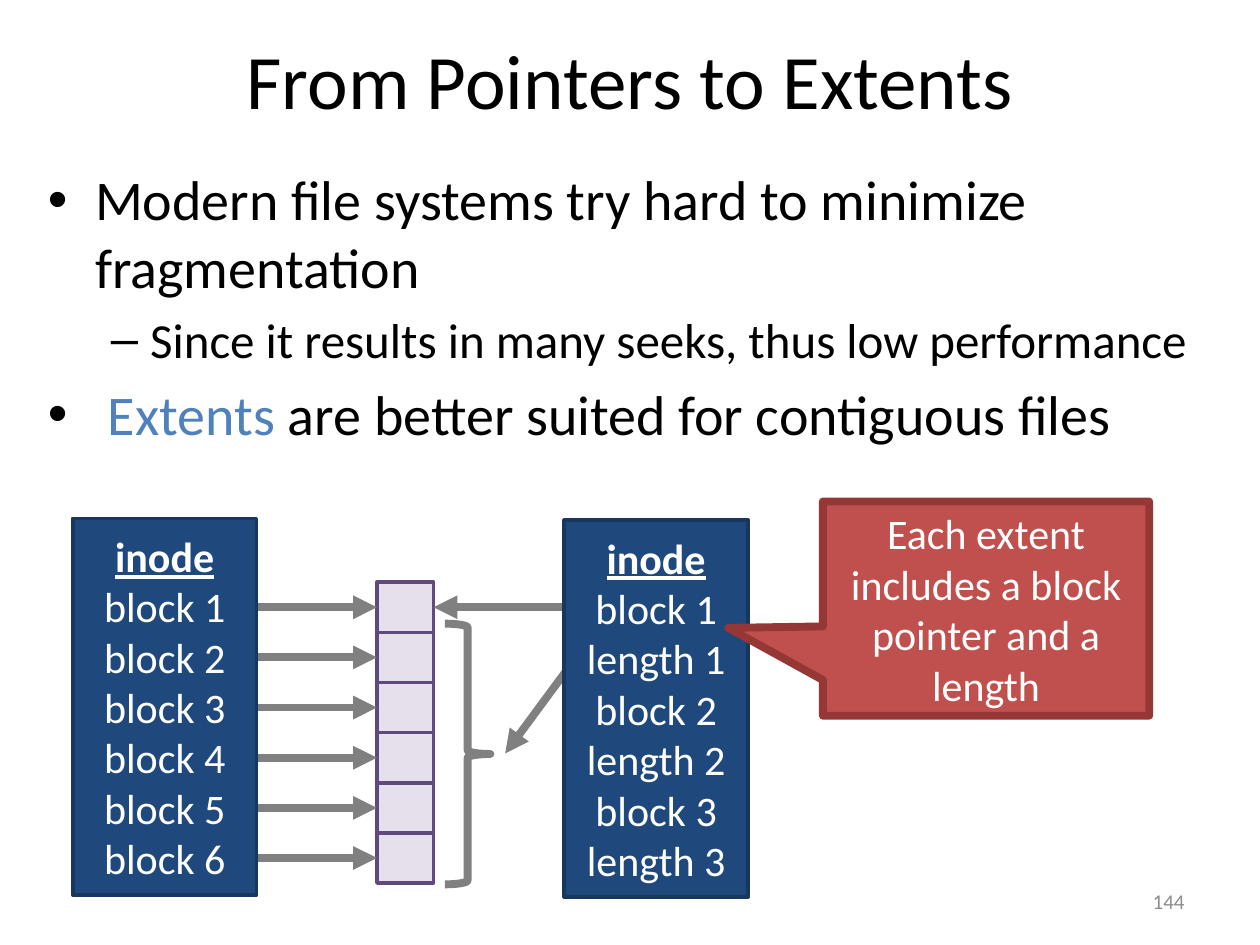
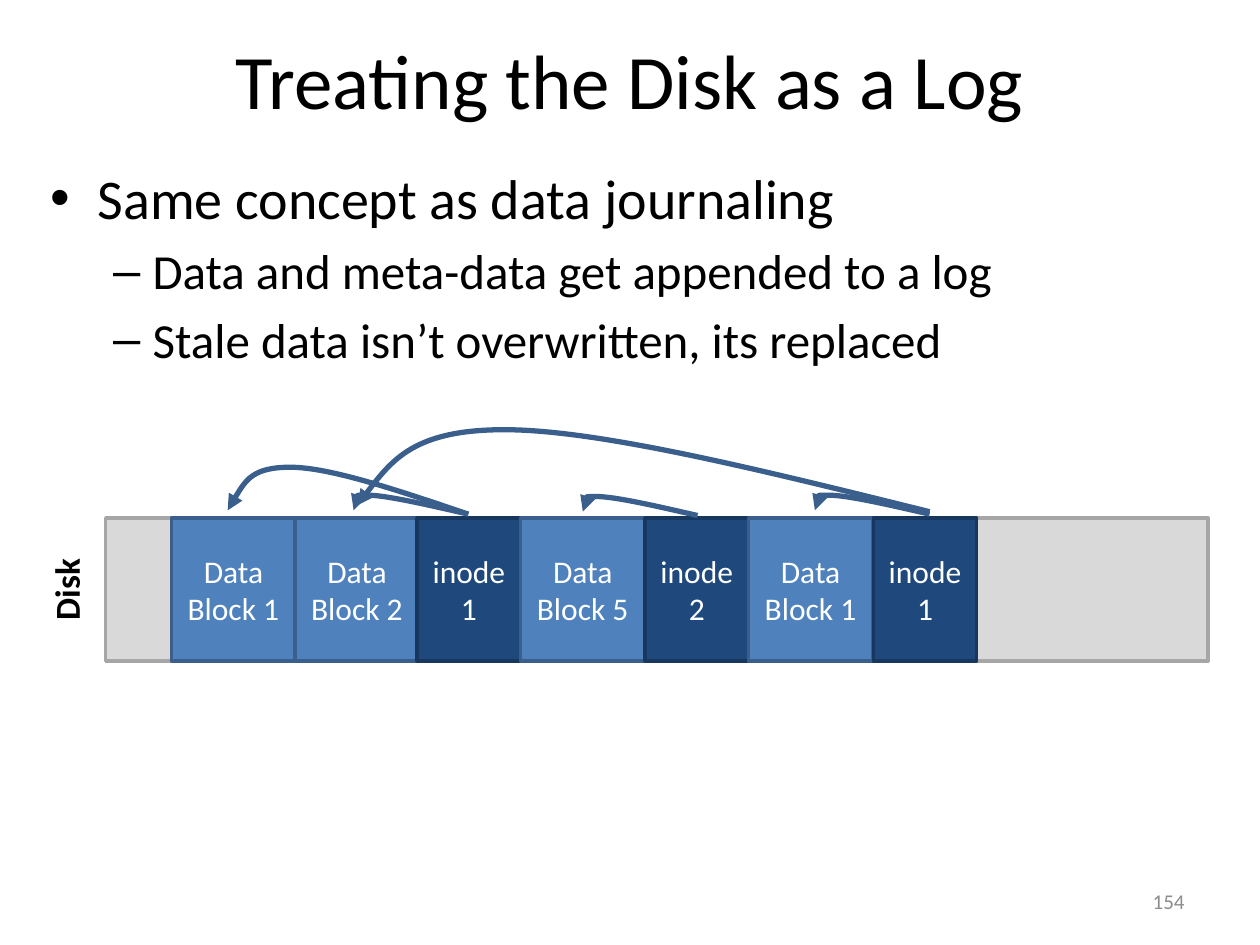
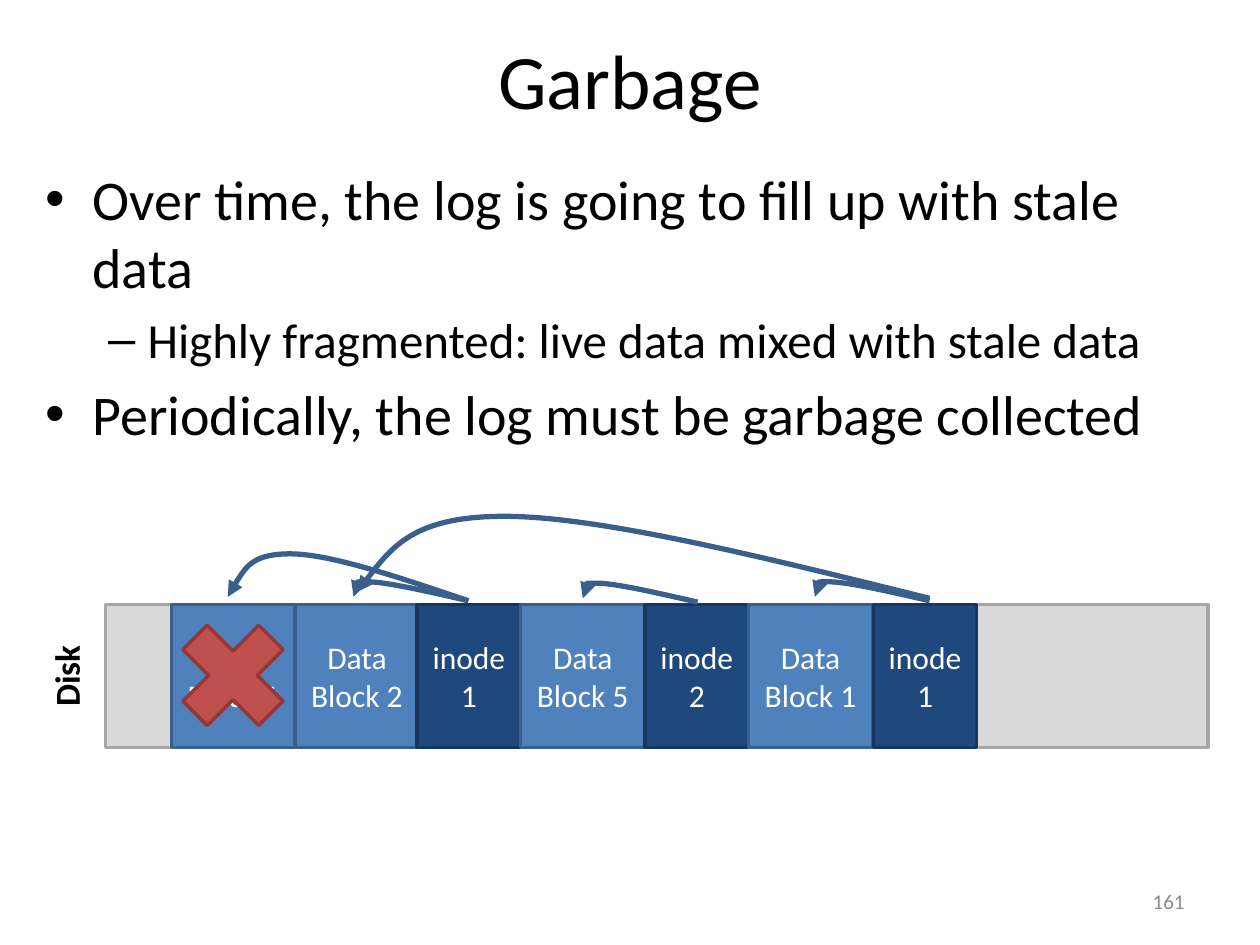
"""Build three slides on file system extents, log-structured disks and garbage."""
from lxml.etree import SubElement
from pptx import Presentation
from pptx.dml.color import RGBColor
from pptx.enum.shapes import MSO_CONNECTOR, MSO_SHAPE
from pptx.enum.text import MSO_ANCHOR, MSO_AUTO_SIZE, PP_ALIGN
from pptx.oxml.ns import qn
from pptx.util import Pt

FONT = "Calibri"
COLORS = {
    "black": "000000", "white": "FFFFFF", "footer": "8C8C8C", "highlight": "4F81BD",
    "data": "4F81BD", "data_line": "3A5F8C", "inode": "1F497D", "inode_line": "17375E",
    "cell": "E6E0EC", "cell_line": "604A7B", "alert": "C0504D", "alert_line": "953735",
    "disk": "D9D9D9", "disk_line": "A6A6A6", "arrow": "808080",
}
COLORS = {name: RGBColor.from_string(value) for name, value in COLORS.items()}


def format_text(text_frame, size, color, align=PP_ALIGN.CENTER, bold=False):
    text_frame.word_wrap = True
    for paragraph in text_frame.paragraphs:
        paragraph.alignment = align
        for run in paragraph.runs:
            run.font.name = FONT
            run.font.size = Pt(size)
            run.font.bold = bold
            run.font.color.rgb = COLORS[color]


def add_box(slide, kind, bounds, color, line_width=2, text="", size=24):
    shape = slide.shapes.add_shape(kind, *map(Pt, bounds))
    shape.shadow.inherit = False
    shape.fill.solid()
    shape.fill.fore_color.rgb = COLORS[color]
    shape.line.color.rgb = COLORS[color + "_line"]
    shape.line.width = Pt(line_width)
    if text:
        shape.text_frame.text = text
        format_text(shape.text_frame, size, "white")
    return shape


presentation = Presentation()
presentation.slide_width = Pt(720)
presentation.slide_height = Pt(540)

CONTENT = [
    ("From Pointers to Extents", "144", (20.2, 90.7, 683.3, 179.3), [
        (0, "Modern file systems try hard to minimize fragmentation"),
        (1, "Since it results in many seeks, thus low performance"),
        (0, " ", "Extents", " are better suited for contiguous files")]),
    ("Treating the Disk as a Log", "154", (21.6, 90, 683.3, 136), [
        (0, "Same concept as data journaling"),
        (1, "Data and meta-data get appended to a log"),
        (1, "Stale data isn’t overwritten, its replaced")]),
    ("Garbage", "161", (18.7, 90.7, 683.3, 407.5), [
        (0, "Over time, the log is going to fill up with stale data"),
        (1, "Highly fragmented: live data mixed with stale data"),
        (0, "Periodically, the log must be garbage collected")]),
]
BULLETS = [("•", 32, 27, -27), ("–", 28, 58.5, -22.5)]

for title_text, number, body_bounds, bullets in CONTENT:
    slide = presentation.slides.add_slide(presentation.slide_layouts[5])
    title = slide.shapes.title
    title.left, title.top, title.width, title.height = map(Pt, (36, 0, 648, 90))
    title.text_frame.text = title_text
    title.text_frame.vertical_anchor = MSO_ANCHOR.MIDDLE
    format_text(title.text_frame, 44, "black")

    body = slide.shapes.add_textbox(*map(Pt, body_bounds)).text_frame
    body.word_wrap = True
    for index, (level, *texts) in enumerate(bullets):
        paragraph = body.add_paragraph() if index else body.paragraphs[0]
        mark, size, margin, indent = BULLETS[level]
        paragraph.level = level
        paragraph.space_before = Pt(0.2 * size if index else 0)
        properties = paragraph._p.get_or_add_pPr()
        properties.set("marL", str(Pt(margin)))
        properties.set("indent", str(Pt(indent)))
        SubElement(properties, qn("a:buFont"), typeface="Arial")
        SubElement(properties, qn("a:buChar"), char=mark)
        for text in texts:
            run = paragraph.add_run()
            run.text = text
            run.font.name = FONT
            run.font.size = Pt(size)
            run.font.color.rgb = COLORS["highlight" if text == "Extents" else "black"]

    footer = slide.shapes.add_textbox(*map(Pt, (516, 500.5, 168, 28.75))).text_frame
    footer.text = number
    footer.vertical_anchor = MSO_ANCHOR.MIDDLE
    format_text(footer, 12, "footer", PP_ALIGN.RIGHT)

extents_slide, log_slide, garbage_slide = presentation.slides

CELL_LEFT, CELL_TOP, CELL_WIDTH, CELL_HEIGHT = 215.4, 332.7, 32.4, 28.65
cells = [
    add_box(extents_slide, MSO_SHAPE.RECTANGLE,
            (CELL_LEFT, CELL_TOP + row * CELL_HEIGHT, CELL_WIDTH, CELL_HEIGHT), "cell")
    for row in range(6)
]
pointers = [(56, CELL_TOP + (row + 0.5) * CELL_HEIGHT, cell, 1) for row, cell in enumerate(cells)]
pointers += [(397.5, CELL_TOP + CELL_HEIGHT / 2, cells[0], 3), (329, 376, None, None)]
for start_x, start_y, cell, side in pointers:
    arrow = extents_slide.shapes.add_connector(
        MSO_CONNECTOR.STRAIGHT, Pt(start_x), Pt(start_y), Pt(288.7), Pt(430.6))
    if cell:
        arrow.end_connect(cell, side)
    arrow.line.color.rgb = COLORS["arrow"]
    arrow.line.width = Pt(4.5)
    SubElement(arrow.line._get_or_add_ln(), qn("a:tailEnd"), type="triangle")
    SubElement(arrow.element.spPr, qn("a:effectLst"))

brace = extents_slide.shapes.add_shape(
    MSO_SHAPE.RIGHT_BRACE, Pt(254.2), Pt(356.4), Pt(26), Pt(149))
brace.shadow.inherit = False
brace.fill.background()
brace.line.color.rgb = COLORS["arrow"]
brace.line.width = Pt(4.5)

block_names = [f"block {number}" for number in range(1, 7)]
extent_names = [f"{part} {number}" for number in range(1, 4) for part in ("block", "length")]
for left, top, names in [(41.6, 296.2, block_names), (322.4, 297.2, extent_names)]:
    inode = add_box(extents_slide, MSO_SHAPE.RECTANGLE, (left, top, 105.1, 215.3), "inode",
                    text="\n".join(["inode"] + names))
    heading = inode.text_frame.paragraphs[0].runs[0]
    heading.font.bold = True
    heading.font.underline = True

callout = add_box(extents_slide, MSO_SHAPE.RECTANGULAR_CALLOUT, (470.2, 286.6, 186.5, 122.4),
                  "alert", 4.5, "Each extent includes a block pointer and a length")
callout.adjustments[0] = -0.79
callout.adjustments[1] = 0.09

DISK_BLOCKS = [
    (97.9, "Data Block 1"), (168.5, "Data Block 2"), (238.4, "inode\n1"),
    (297.5, "Data Block 5"), (368.6, "inode\n2"), (427.7, "Data Block 1"), (499, "inode\n1"),
]
HOP = [(-22.7, -5.2), (-45.4, -10.4), (-56.2, -10.8), (-67, -11), (-66.2, -6.6), (-65.5, -2.2)]
LONG_HOP = [(-39.3, -13.3), (-78.5, -26.6), (-101.2, -26.8), (-123.8, -27),
            (-130.7, -14.4), (-137.5, -2.2)]
LONGEST_HOP = [(-92.9, -23), (-185.8, -46.1), (-240.3, -46.8), (-294.5, -47.5),
               (-311, -25.2), (-327, -3.6)]
CURVES = [(267.6, -2.2, HOP), (398.6, -1.4, HOP), (267.6, -2.2, LONG_HOP),
          (531.2, -2.2, HOP), (531.2, -3.6, LONGEST_HOP)]

for slide, disk_top in [(log_slide, 296), (garbage_slide, 345.5)]:
    add_box(slide, MSO_SHAPE.RECTANGLE, (60.4, disk_top, 630, 81.6), "disk")
    label = slide.shapes.add_textbox(*map(Pt, (-13.7, disk_top + 25.1, 103, 31.5)))
    label.rotation = 270
    label.text_frame.text = "Disk"
    label.text_frame.auto_size = MSO_AUTO_SIZE.SHAPE_TO_FIT_TEXT
    format_text(label.text_frame, 20, "black", bold=True)

    for left, text in DISK_BLOCKS:
        color, width = ("data", 71) if text.startswith("Data") else ("inode", 59.1)
        add_box(slide, MSO_SHAPE.RECTANGLE, (left, disk_top, width, 81.6), color,
                text=text, size=18)

    for start_x, rise, steps in CURVES:
        start_y = disk_top + rise
        builder = slide.shapes.build_freeform(Pt(start_x), Pt(start_y))
        builder.add_line_segments(
            [(Pt(start_x + dx), Pt(start_y + dy)) for dx, dy in steps], close=False)
        curve = builder.convert_to_shape()
        outline = next(curve.element.iter(qn("a:path")))
        corners = outline.findall(qn("a:lnTo"))
        for first in (0, 3):
            bezier = SubElement(outline, qn("a:cubicBezTo"))
            for corner in corners[first:first + 3]:
                bezier.append(corner[0])
                outline.remove(corner)
        curve.shadow.inherit = False
        curve.fill.background()
        curve.line.color.rgb = COLORS["data_line"]
        curve.line.width = Pt(3)
        SubElement(curve.line._get_or_add_ln(), qn("a:tailEnd"), type="triangle")

add_box(garbage_slide, MSO_SHAPE.MATH_MULTIPLY, (91.4, 344.2, 83.5, 83.5), "alert")

presentation.save("out.pptx")
